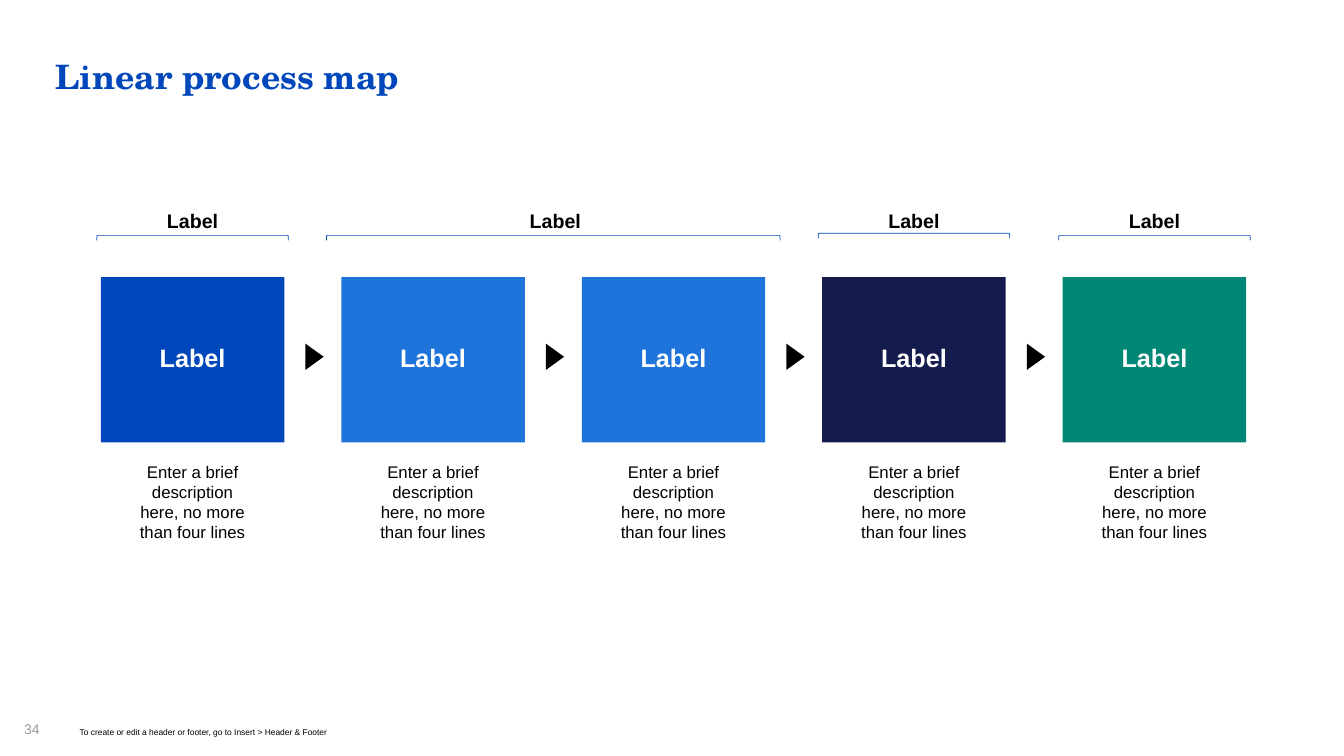
from dataclasses import dataclass

from pptx import Presentation
from pptx.dml.color import RGBColor
from pptx.enum import shapes, text
from pptx.util import Inches, Pt

COLORS = {
    "blue": "0047BB",
    "sky": "1F74DB",
    "navy": "141B4D",
    "green": "008775",
    "black": "000000",
    "white": "FFFFFF",
    "gray": "999999",
}
DESCRIPTION = "Enter a brief description here, no more than four lines"
FIRST_CENTER, PITCH = 1.91, 2.385
STEP_W, STEP_H, STEP_TOP = 1.82, 1.64, 2.75
TEXT_W = 1.42
BRACKET_DEPTH = 0.05
ARROW_W, ARROW_H, ARROW_OFFSET = 0.26, 0.18, 1.21


@dataclass
class Step:
    label: str
    color: str


@dataclass
class Group:
    label: str
    first: int
    last: int
    width: float = 1.9
    bracket_y: float = 2.36
    label_shift: float = 0


STEPS = [
    Step("Label", "blue"),
    Step("Label", "sky"),
    Step("Label", "sky"),
    Step("Label", "navy"),
    Step("Label", "green"),
]
GROUPS = [
    Group("Label", 0, 0),
    Group("Label", 1, 2, width=4.5, label_shift=0.02),
    Group("Label", 3, 3, bracket_y=2.34),
    Group("Label", 4, 4),
]


def rgb(name: str) -> RGBColor:
    return RGBColor.from_string(COLORS[name])


def center_of(position: float) -> float:
    return FIRST_CENTER + position * PITCH


def write(sp, content: str, *, size: float, color: str = "black", font: str = "Arial",
          bold: bool = False, align=text.PP_ALIGN.LEFT, anchor=text.MSO_ANCHOR.TOP,
          spacing: float = 1.0, inset: tuple[float, float] = (0.1, 0.05)) -> None:
    tf = sp.text_frame
    tf.word_wrap = True
    tf.vertical_anchor = anchor
    tf.margin_left = tf.margin_right = Inches(inset[0])
    tf.margin_top = tf.margin_bottom = Inches(inset[1])
    p = tf.paragraphs[0]
    p.alignment = align
    p.line_spacing = spacing
    r = p.add_run()
    r.text = content
    r.font.name = font
    r.font.size = Pt(size)
    r.font.bold = bold
    r.font.color.rgb = rgb(color)


def add_text(s, content: str, x: float, y: float, w: float, h: float, **style) -> None:
    sp = s.shapes.add_textbox(Inches(x), Inches(y), Inches(w), Inches(h))
    write(sp, content, **style)


def add_shape(s, kind, cx: float, cy: float, w: float, h: float, *,
              fill: str | None = None, line: str | None = None, rotation: float = 0):
    sp = s.shapes.add_shape(kind, Inches(cx - w / 2), Inches(cy - h / 2), Inches(w), Inches(h))
    sp.shadow.inherit = False
    sp.rotation = rotation
    if fill:
        sp.fill.solid()
        sp.fill.fore_color.rgb = rgb(fill)
    else:
        sp.fill.background()
    if line:
        sp.line.color.rgb = rgb(line)
        sp.line.width = Pt(0.5)
    else:
        sp.line.fill.background()
    return sp


def add_group(s, group: Group) -> None:
    cx = center_of((group.first + group.last) / 2)
    add_text(s, group.label, cx + group.label_shift - TEXT_W / 2, 2.02, TEXT_W, 0.34,
             size=14, bold=True, align=text.PP_ALIGN.CENTER)
    add_shape(s, shapes.MSO_SHAPE.LEFT_BRACKET, cx, group.bracket_y,
              BRACKET_DEPTH, group.width, line="blue", rotation=90)


def add_step(s, step: Step, cx: float, has_next: bool) -> None:
    cy = STEP_TOP + STEP_H / 2
    sp = add_shape(s, shapes.MSO_SHAPE.RECTANGLE, cx, cy, STEP_W, STEP_H, fill=step.color)
    write(sp, step.label, size=18, color="white", bold=True, spacing=0.9,
          align=text.PP_ALIGN.CENTER, anchor=text.MSO_ANCHOR.MIDDLE)
    add_text(s, DESCRIPTION, cx - TEXT_W / 2, 4.53, TEXT_W, 0.91,
             size=12, align=text.PP_ALIGN.CENTER)
    if has_next:
        add_shape(s, shapes.MSO_SHAPE.ISOSCELES_TRIANGLE, cx + ARROW_OFFSET, 3.54,
                  ARROW_W, ARROW_H, fill="black", rotation=90)


def main() -> None:
    prs = Presentation()
    prs.slide_width, prs.slide_height = Inches(13.33), Inches(7.5)
    s = prs.slides.add_slide(prs.slide_layouts[6])
    flush = {"spacing": 0.9, "inset": (0, 0)}
    add_text(s, "Linear process map", 0.55, 0.6, 12.23, 1.02, size=24,
             color="blue", font="TeX Gyre Schola", bold=True, **flush)
    for group in GROUPS:
        add_group(s, group)
    for i, step in enumerate(STEPS):
        add_step(s, step, center_of(i), i < len(STEPS) - 1)
    add_text(s, "34", 0.24, 7.17, 0.26, 0.33, size=10, color="gray", **flush)
    add_text(s, "To create or edit a header or footer, go to Insert > Header & Footer",
             0.79, 7.22, 4.82, 0.28, size=6, **flush)
    prs.save("out.pptx")


if __name__ == "__main__":
    main()
